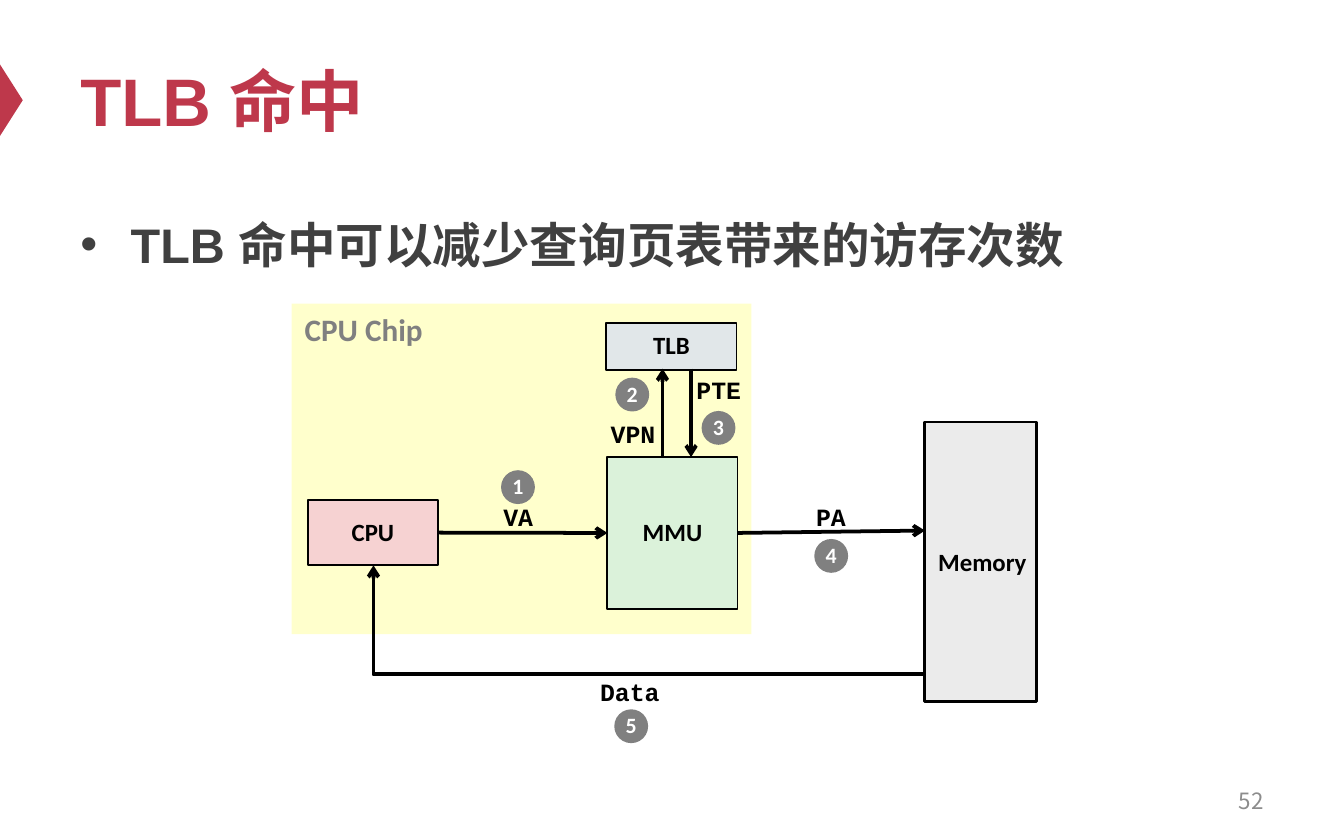
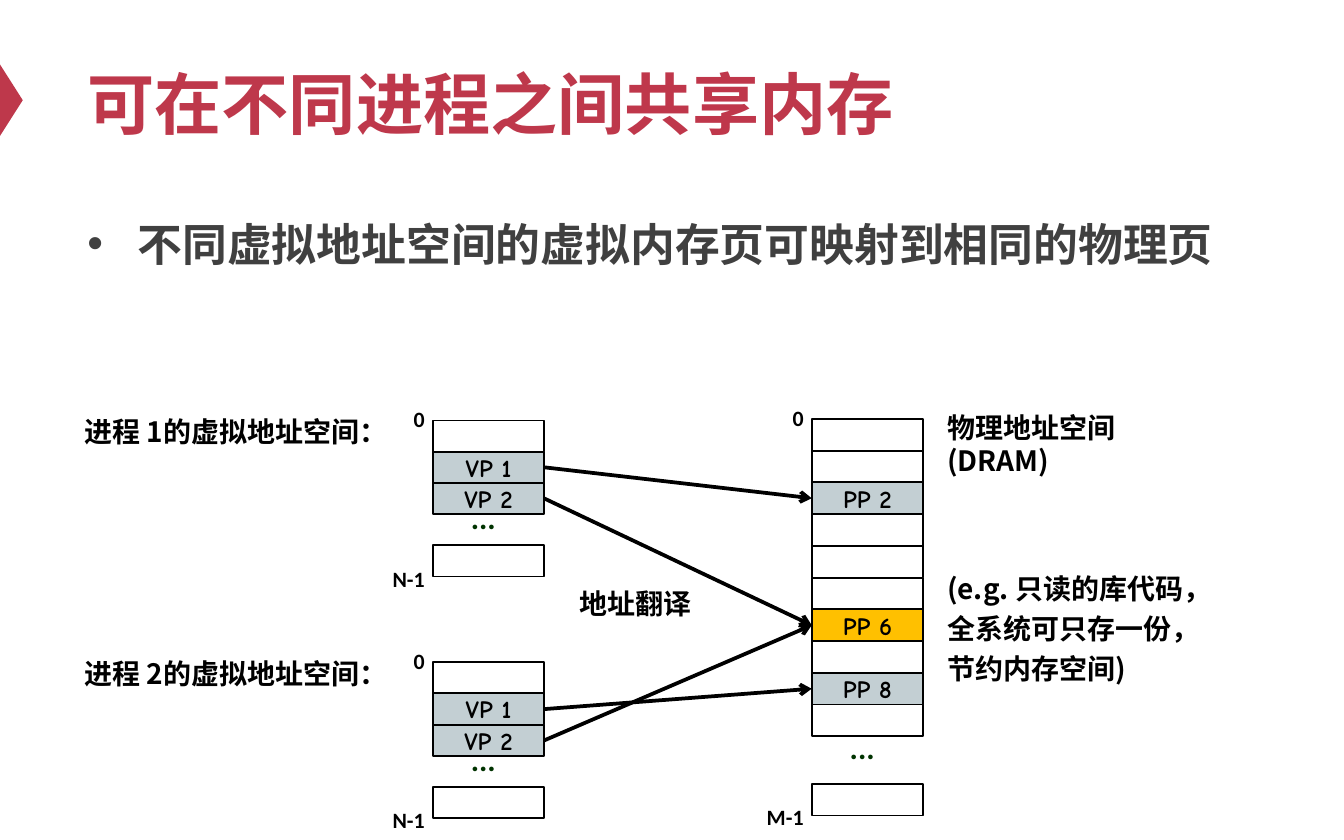
"""Build two slides on TLB hits and memory sharing between processes."""
import dataclasses

import lxml.etree
import pptx
import pptx.dml.color
import pptx.enum.shapes
import pptx.enum.text
import pptx.oxml.ns
import pptx.util

Cm, Pt = pptx.util.Cm, pptx.util.Pt
SHAPE = pptx.enum.shapes.MSO_SHAPE
CONN = pptx.enum.shapes.MSO_CONNECTOR
ALIGN = pptx.enum.text.PP_ALIGN
ANCHOR = pptx.enum.text.MSO_ANCHOR
qn = pptx.oxml.ns.qn


@dataclasses.dataclass(frozen=True)
class Theme:
    red: str = "BE384B"
    red_alt: str = "BF374B"
    body: str = "404040"
    gray: str = "808080"
    footer: str = "8C8C8C"
    black: str = "000000"
    white: str = "FFFFFF"
    dots: str = "003300"
    chip: str = "FFFFCC"
    mmu: str = "DBF2DA"
    memory: str = "EBEBEB"
    cpu: str = "F6D2D2"
    tlb: str = "E1E7E9"
    page: str = "C3CFD3"
    shared: str = "FFC000"
    cjk: str = "Noto Sans CJK SC"
    latin: str = "Arial"
    label: str = "Calibri"
    mono: str = "Courier New"
    cell: str = "Comic Neue"
    title_pt: float = 36
    note_pt: float = 15
    chip_pt: float = 16.7
    label_pt: float = 13.3
    small_pt: float = 11.7
    footer_pt: float = 12


T = Theme()
TIGHT = (0.2, 0.1)

HIT = dict(
    title=[("TLB 命中", T.red)], title_at=(1.27, 0.64, 22.86, 2.49), title_spacing=1,
    body="TLB 命中可以减少查询页表带来的访存次数", body_at=(1.27, 3.71, 22.86, 10.46),
    font=T.latin, body_pt=26)
SHARING = dict(
    title=[("可在不同进程之间", T.red), ("共享", T.red_alt), ("内存", T.red)],
    title_at=(1.4, 1.02, 19.94, 2.11), title_spacing=0.83,
    body="不同虚拟地址空间的虚拟内存页可映射到相同的物理页", body_at=(1.4, 3.76, 22.63, 4.42),
    font=T.cjk, body_pt=24)

PAGE_NUMBER = ("52", (18.21, 14.71, 5.92, 0.84))
CHIP = ("CPU Chip", (5.51, 5.74, 8.69, 6.25))
UNITS = [
    ("MMU", (11.48, 8.64, 2.46, 2.87), T.mmu),
    ("CPU", (5.82, 9.45, 2.46, 1.24), T.cpu),
    ("TLB", (11.46, 6.1, 2.46, 0.89), T.tlb),
]
MEMORY = ("Memory", (17.48, 7.98, 2.11, 5.28))
SIGNALS = [
    ("PA", (15.21, 9.4, 0.99)), ("Data", (11.13, 12.7, 1.55)), ("VA", (9.3, 9.4, 0.99)),
    ("PTE", (12.95, 6.99, 1.27)), ("VPN", (11.33, 7.82, 1.27)),
]
STEPS = [(9.47, 8.89), (11.63, 7.14), (13.26, 7.77), (15.39, 10.19), (11.61, 13.41)]
BADGE = 0.64

VIRTUAL = {0: "", 1: "VP 1", 2: "VP 2", 4: ""}
PHYSICAL = {0: "", 1: "", 2: "PP 2", 3: "", 4: "", 5: "", 6: "PP 6", 7: "",
            8: "PP 8", 9: "", 11.5: ""}
SPACES = {
    "process 1": dict(left=8.18, top=7.95, pitch=0.59, cells=VIRTUAL, dots=1.47, last="N-1"),
    "process 2": dict(left=8.18, top=12.52, pitch=0.59, cells=VIRTUAL, dots=1.47, last="N-1"),
    "physical": dict(left=15.34, top=7.92, pitch=0.6, cells=PHYSICAL, dots=5.85, last="M-1"),
}
CELL_W = 2.11
MAPPINGS = [("process 1", 1, 2), ("process 1", 2, 6), ("process 2", 2, 6), ("process 2", 1, 8)]
NOTES = [
    ("进程 1的虚拟地址空间：", (1.4, 7.77, 6.2, 0.84), 0.98),
    ("进程 2的虚拟地址空间：", (1.4, 12.34, 6.2, 0.84), 0.98),
    ("物理地址空间(DRAM)", (17.7, 7.7, 4.83, 1.47), 0.98),
    ("(e.g. 只读的库代码，全系统可只存一份，节约内存空间)", (17.7, 10.57, 5.64, 2.44), 1.2),
]
TRANSLATION = ("地址翻译", (10.69, 10.95, 2.64, 0.89))


def rgb(color):
    return pptx.dml.color.RGBColor.from_string(color)


def cm(values):
    return [Cm(v) for v in values]


def write(sp, text, *, size, font=T.label, color=T.black, bold=True, align=ALIGN.LEFT,
          anchor=ANCHOR.TOP, spacing=1, before=0, inset=(0.25, 0.13), wrap=False,
          grow=False, bullet=False):
    tf = sp.text_frame
    tf.word_wrap = wrap
    if grow:
        tf.auto_size = pptx.enum.text.MSO_AUTO_SIZE.SHAPE_TO_FIT_TEXT
    tf.vertical_anchor = anchor
    tf.margin_left = tf.margin_right = Cm(inset[0])
    tf.margin_top = tf.margin_bottom = Cm(inset[1])
    p = tf.paragraphs[0]
    p.alignment, p.line_spacing, p.space_before = align, spacing, Pt(before)
    if bullet:
        pPr = p._p.get_or_add_pPr()
        pPr.set("marL", str(Cm(0.95)))
        pPr.set("indent", str(-Cm(0.95)))
        lxml.etree.SubElement(pPr, qn("a:buFont"), typeface=T.latin)
        lxml.etree.SubElement(pPr, qn("a:buChar"), char="•")
    for part, part_color in [(text, color)] if isinstance(text, str) else text:
        r = p.add_run()
        r.text = part
        r.font.size, r.font.bold, r.font.name = Pt(size), bold, font
        r.font.color.rgb = rgb(part_color)
        lxml.etree.SubElement(r._r.get_or_add_rPr(), qn("a:ea"), typeface=T.cjk)


def add_text(s, at, text, **fmt):
    write(s.shapes.add_textbox(*cm(at)), text, **fmt)


def add_box(s, at, fill=None, line=None, kind=SHAPE.RECTANGLE):
    sp = s.shapes.add_shape(kind, *cm(at))
    sp.shadow.inherit = False
    if fill:
        sp.fill.solid()
        sp.fill.fore_color.rgb = rgb(fill)
    else:
        sp.fill.background()
    if line:
        sp.line.color.rgb = rgb(T.black)
        sp.line.width = Pt(line)
    else:
        sp.line.fill.background()
    return sp


def add_arrow(s, start, end, bent=False):
    """Join two ends, each a point in cm or a (shape, site) pair."""
    c = s.shapes.add_connector(CONN.ELBOW if bent else CONN.STRAIGHT, 0, 0, 0, 0)
    if isinstance(start[0], (int, float)):
        c.begin_x, c.begin_y = cm(start)
    else:
        c.begin_connect(*start)
    if isinstance(end[0], (int, float)):
        c.end_x, c.end_y = cm(end)
    else:
        c.end_connect(*end)
    c.line.color.rgb = rgb(T.black)
    c.line.width = Pt(2)
    spPr = c.element.spPr
    if bent:
        spPr.find(qn("a:prstGeom")).set("prst", "bentConnector2")
    lxml.etree.SubElement(spPr.find(qn("a:ln")), qn("a:tailEnd"), type="arrow")
    lxml.etree.SubElement(spPr, qn("a:effectLst"))


def add_slide(prs, page):
    s = prs.slides.add_slide(prs.slide_layouts[6])
    add_box(s, (-0.46, 1.68, 1.35, 0.43), T.red, kind=SHAPE.ISOSCELES_TRIANGLE).rotation = 90
    add_text(s, page["title_at"], page["title"], size=T.title_pt, font=page["font"],
             anchor=ANCHOR.MIDDLE, spacing=page["title_spacing"], wrap=True)
    add_text(s, page["body_at"], page["body"], size=page["body_pt"], font=page["font"],
             color=T.body, spacing=1.2, before=12, wrap=True, bullet=True)
    return s


def draw_hit(prs):
    s = add_slide(prs, HIT)
    text, at = PAGE_NUMBER
    add_text(s, at, text, size=T.footer_pt, font=T.cjk, color=T.footer, bold=False,
             align=ALIGN.RIGHT, anchor=ANCHOR.MIDDLE, wrap=True)
    centred = dict(align=ALIGN.CENTER, anchor=ANCHOR.MIDDLE, spacing=0.98, inset=TIGHT)
    text, at = CHIP
    add_box(s, at, T.chip)
    add_text(s, (*at[:2], 2.77, 0.97), text, size=T.chip_pt, color=T.gray, grow=True)
    units = {}
    for text, at, fill in UNITS:
        units[text] = add_box(s, at, fill, 1)
        write(units[text], text, size=T.label_pt, **centred)
    text, at = MEMORY
    write(add_box(s, at, T.memory, 1.5), text, size=T.label_pt, anchor=ANCHOR.MIDDLE)

    add_arrow(s, (units["CPU"], 3), (units["MMU"], 1))
    add_arrow(s, (units["MMU"], 3), (17.48, 10.03))
    add_arrow(s, (12.52, 8.64), (12.52, 6.97))
    add_arrow(s, (13.06, 6.97), (13.06, 8.64))
    add_arrow(s, (17.48, 12.75), (7.06, 10.69), bent=True)
    for text, at in SIGNALS:
        add_text(s, (*at, 0.79), text, size=T.label_pt, font=T.mono, grow=True, **centred)
    for number, at in enumerate(STEPS, 1):
        sp = add_box(s, (*at, BADGE, BADGE), T.gray, kind=SHAPE.OVAL)
        write(sp, str(number), size=T.small_pt, color=T.white, **centred)


def draw_space(s, left, top, pitch, cells, dots, last):
    column = {}
    for slot, text in cells.items():
        fill = (T.shared if text == "PP 6" else T.page) if text else None
        column[slot] = add_box(s, (left, top + slot * pitch, CELL_W, pitch), fill, 1)
        if text:
            write(column[slot], text, size=T.label_pt, font=T.cell, align=ALIGN.CENTER,
                  anchor=ANCHOR.MIDDLE, wrap=True)
    for text, y in (("0", top - 0.35), (last, top + max(cells) * pitch + 0.3)):
        add_text(s, (left - 1.07, y, 1.12, 0.69), text, size=T.small_pt, align=ALIGN.RIGHT,
                 spacing=0.98, inset=TIGHT, grow=True)
    add_text(s, (left + 0.52, top + dots, 0.91, 0.84), "...", size=T.chip_pt, color=T.dots,
             spacing=0.88, before=7.5, inset=TIGHT, grow=True)
    return column


def draw_sharing(prs):
    s = add_slide(prs, SHARING)
    columns = {name: draw_space(s, **space) for name, space in SPACES.items()}
    for process, virtual, physical in MAPPINGS:
        add_arrow(s, (columns[process][virtual], 3), (columns["physical"][physical], 1))
    for text, at, spacing in NOTES:
        add_text(s, at, text, size=T.note_pt, font=T.cjk, spacing=spacing, inset=TIGHT,
                 wrap=True, grow=True)
    text, at = TRANSLATION
    add_text(s, at, text, size=T.note_pt, font=T.cjk, align=ALIGN.CENTER, grow=True)


def main():
    prs = pptx.Presentation()
    prs.slide_width, prs.slide_height = Cm(25.4), Cm(15.88)
    draw_hit(prs)
    draw_sharing(prs)
    prs.save("out.pptx")


if __name__ == "__main__":
    main()
